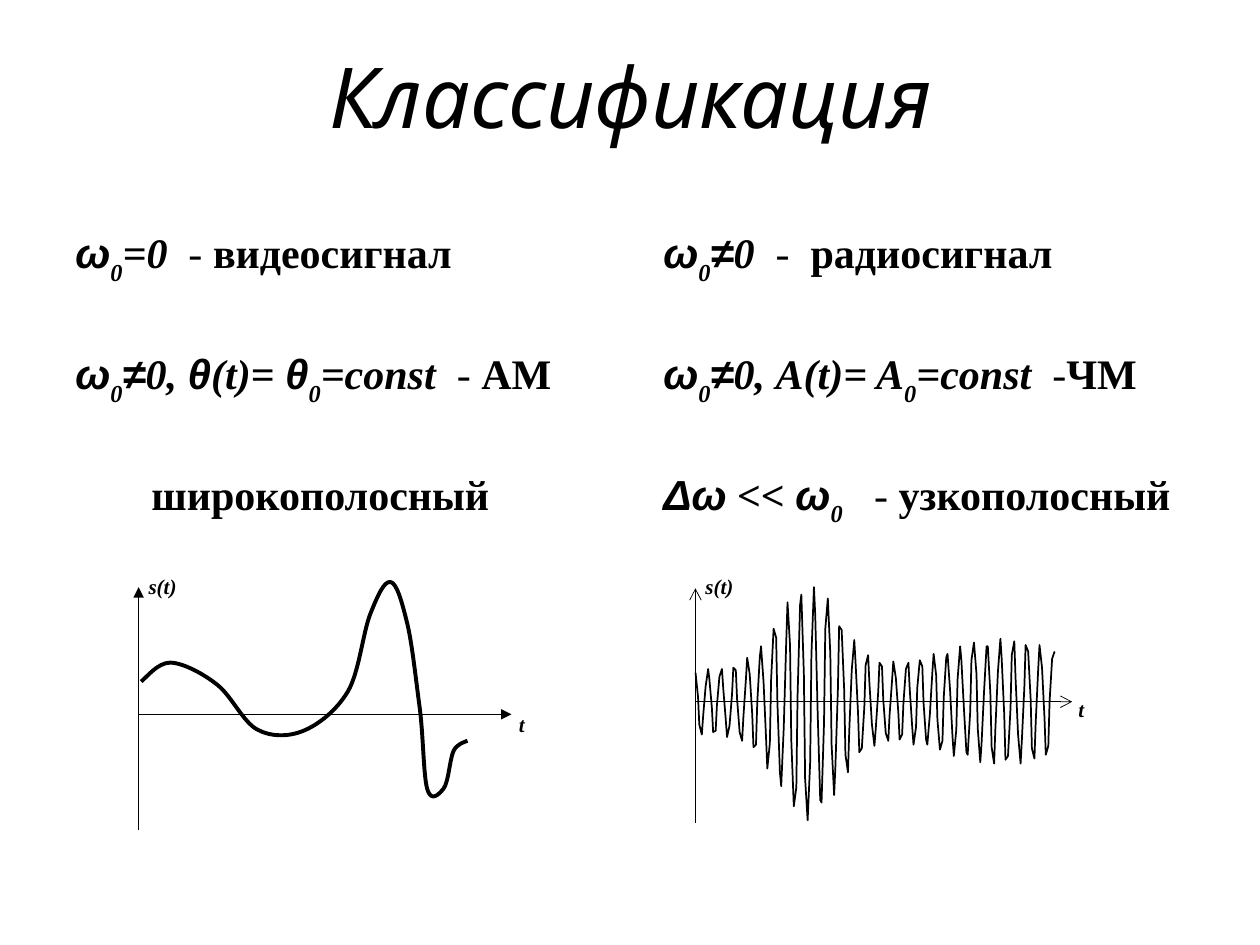
from math import cos, exp, pi

from lxml.etree import SubElement
from pptx import Presentation
from pptx.dml.color import RGBColor
from pptx.enum.shapes import MSO_CONNECTOR
from pptx.enum.text import MSO_ANCHOR, PP_ALIGN
from pptx.oxml.ns import qn
from pptx.util import Pt

BLACK = RGBColor(0, 0, 0)
SERIF = "Times New Roman"
PLOT_UNIT = Pt(0.72)  # signals are given in plot units

TITLE = "Классификация "

# style: (font, bold, italic, baseline)
GREEK = ("Arial", True, True, None)
MATH = (SERIF, True, True, None)
SUB = (SERIF, True, True, "-30000")
PLAIN = (SERIF, False, False, None)
BOLD = (SERIF, True, False, None)

OMEGA_0 = [("ω", GREEK), ("0", SUB)]
NONZERO = OMEGA_0 + [("≠", GREEK)]
LEFT_COLUMN = [
    OMEGA_0 + [("=0 ", MATH), (" - ", PLAIN), ("видеосигнал", BOLD)],
    NONZERO + [("0, ", MATH), ("θ", GREEK), ("(t)= ", MATH), ("θ", GREEK), ("0", SUB),
               ("=const  ", MATH), ("- ", PLAIN), ("АМ", BOLD)],
]
RIGHT_COLUMN = [
    NONZERO + [("0 ", MATH), (" -  ", PLAIN), ("радиосигнал", BOLD)],
    NONZERO + [("0, A(t)= A", MATH), ("0", SUB), ("=const  ", MATH), ("-", PLAIN),
               ("ЧМ", BOLD)],
    [("Δω", GREEK), (" << ", MATH)] + OMEGA_0
    + [("   ", MATH), ("- ", PLAIN), ("узкополосный", BOLD)],
]
WIDEBAND = [("широкополосный ", BOLD)]
COLUMN_X = (36, 372)
ROW_Y, ROW_STEP = 126, 69

# Axes of each plot, in points
PLOTS = [
    dict(x=79.2, right=292.3, top=335.5, bottom=474.5, zero=408.2,
         width=0.75, head="triangle", t_at=(289.4, 403.2), s_at=(77.8, 324)),
    dict(x=397.4, right=612.7, top=336.2, bottom=470.2, zero=401,
         width=0.45, head="arrow", t_at=(609.1, 394.6), s_at=(396, 324)),
]

# Points the smooth video signal passes through
VIDEO_KNOTS = [
    (112, 541), (135, 526), (173, 544), (204, 579), (241, 580), (276, 549), (294, 487),
    (310, 462), (323, 494), (333, 561), (339, 626), (352, 626), (360, 596), (371, 588),
]

# Radio signal: a carrier whose amplitude is a base plus bell-shaped humps
RADIO_START, RADIO_ZERO = 552, 557
SAMPLE_STEP, SAMPLE_COUNT = 1.59, 180
CARRIER_PERIOD, FIRST_TROUGH = 10.55, 556.5
BASE_AMPLITUDE = 26
HUMPS = [(68, 642, 34), (24, 795, 65)]  # height, centre, spread


def radio_signal():
    points = []
    for i in range(SAMPLE_COUNT):
        x = RADIO_START + i * SAMPLE_STEP
        amplitude = BASE_AMPLITUDE + sum(
            height * exp(-((x - centre) / spread) ** 2) for height, centre, spread in HUMPS)
        phase = 2 * pi * (x - FIRST_TROUGH) / CARRIER_PERIOD
        points.append((x, RADIO_ZERO + amplitude * cos(phase)))
    return points


def bezier_points(knots):
    """Put two controls between knots, on tangents parallel to the neighbours' chord."""
    padded = [knots[0]] + knots + [knots[-1]]
    points = [knots[0]]
    for before, start, end, after in zip(padded, padded[1:], padded[2:], padded[3:]):
        points += [
            tuple(s + (e - b) / 6 for b, s, e in zip(before, start, end)),
            tuple(e - (a - s) / 6 for s, e, a in zip(start, end, after)),
            end,
        ]
    return points


def segments_to_curves(sp):
    """Turn every three line segments into one cubic Bezier."""
    path = next(sp._element.iter(qn("a:path")))
    segments = path.findall(qn("a:lnTo"))
    for i in range(0, len(segments), 3):
        curve = SubElement(path, qn("a:cubicBezTo"))
        for segment in segments[i:i + 3]:
            curve.append(segment[0])
            path.remove(segment)


def add_outline(slide, points, width):
    builder = slide.shapes.build_freeform(*points[0], scale=PLOT_UNIT)
    builder.add_line_segments(points[1:], close=False)
    sp = builder.convert_to_shape()
    sp.shadow.inherit = False
    sp.fill.background()
    sp.line.color.rgb = BLACK
    sp.line.width = Pt(width)
    return sp


def add_text(slide, runs, x, y, w, h, size, align=PP_ALIGN.LEFT):
    tf = slide.shapes.add_textbox(Pt(x), Pt(y), Pt(w), Pt(h)).text_frame
    tf.word_wrap = True
    p = tf.paragraphs[0]
    p.alignment = align
    for text, (font, bold, italic, baseline) in runs:
        r = p.add_run()
        r.text = text
        f = r.font
        f.name, f.size, f.bold, f.italic = font, Pt(size), bold, italic
        f.color.rgb = BLACK
        if baseline:
            r._r.get_or_add_rPr().set("baseline", baseline)


def add_axis(slide, start, end, width, head):
    axis = slide.shapes.add_connector(MSO_CONNECTOR.STRAIGHT, *map(Pt, start + end))
    axis.line.color.rgb = BLACK
    axis.line.width = Pt(width)
    SubElement(axis.line._get_or_add_ln(), qn("a:tailEnd"), type=head)
    SubElement(axis._element.spPr, qn("a:effectLst"))


def add_axes(slide, x, right, top, bottom, zero, width, head, t_at, s_at):
    add_axis(slide, (x, bottom), (x, top), width, head)
    add_axis(slide, (x, zero), (right, zero), width, head)
    add_text(slide, [("t", MATH)], *t_at, 20, 22, 12)
    add_text(slide, [("s(t)", MATH)], *s_at, 37.4, 22, 12)


def set_title(slide):
    title = slide.shapes.title
    title.left, title.top, title.width, title.height = Pt(96), Pt(42), Pt(540), Pt(54)
    tf = title.text_frame
    tf.text = TITLE
    tf.vertical_anchor = MSO_ANCHOR.TOP
    p = tf.paragraphs[0]
    p.alignment = PP_ALIGN.CENTER
    p.line_spacing = 0.6
    f = p.runs[0].font
    f.name, f.size, f.italic, f.color.rgb = "Cabin", Pt(48), True, BLACK


def main():
    prs = Presentation()
    prs.slide_width, prs.slide_height = Pt(720), Pt(540)
    slide = prs.slides.add_slide(prs.slide_layouts[5])
    set_title(slide)

    for x, column in zip(COLUMN_X, (LEFT_COLUMN, RIGHT_COLUMN)):
        for row, runs in enumerate(column):
            add_text(slide, runs, x, ROW_Y + row * ROW_STEP, 324, 41, 24)
    add_text(slide, WIDEBAND, 24, ROW_Y + 2 * ROW_STEP, 324, 36, 24, PP_ALIGN.CENTER)

    segments_to_curves(add_outline(slide, bezier_points(VIDEO_KNOTS), 2.25))
    add_outline(slide, radio_signal(), 1)
    for plot in PLOTS:
        add_axes(slide, **plot)

    prs.save("out.pptx")


if __name__ == "__main__":
    main()
